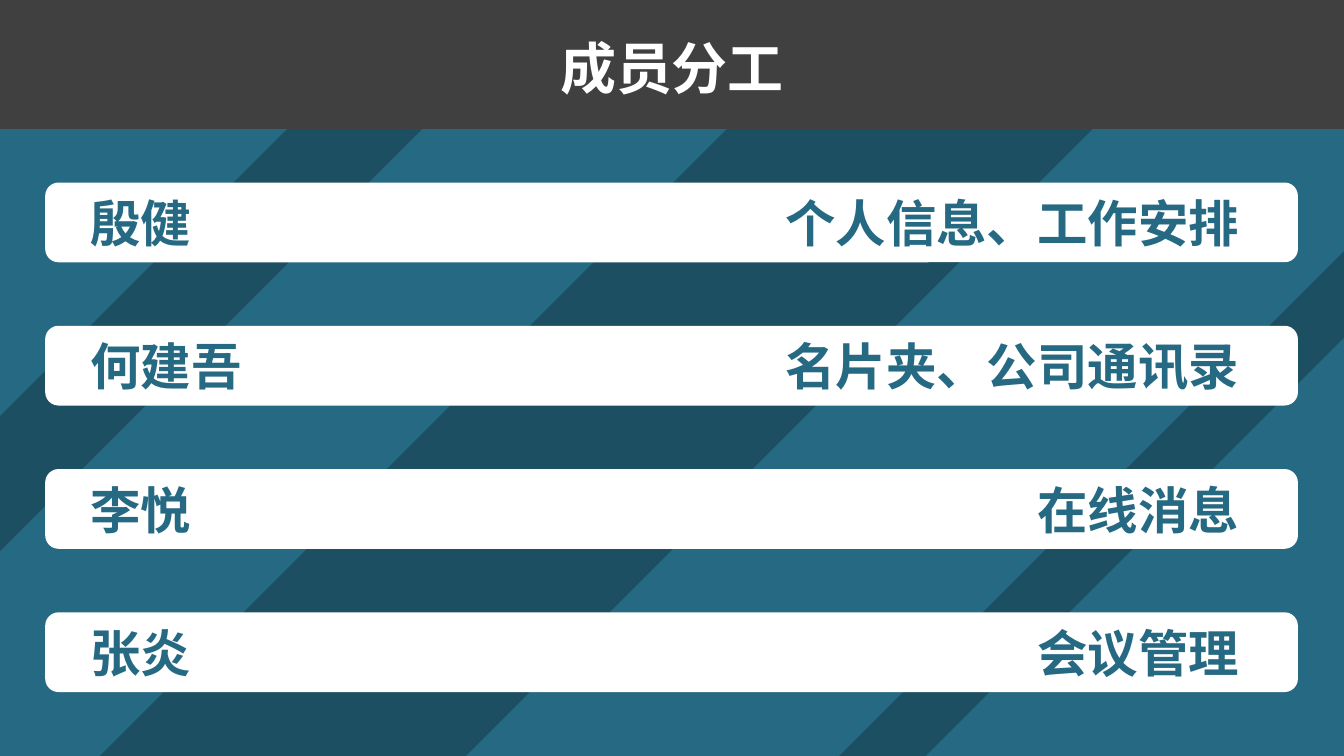
from lxml.etree import SubElement
from pptx import Presentation
from pptx.dml.color import RGBColor
from pptx.enum.shapes import MSO_SHAPE as Preset
from pptx.enum.text import MSO_ANCHOR as Anchor, MSO_AUTO_SIZE as AutoSize, PP_ALIGN as Align
from pptx.oxml.ns import qn
from pptx.util import Cm, Pt

COLORS = {"teal": "266983", "stripe": "1D4F62", "band": "404040", "white": "FFFFFF"}
FONT = "Noto Sans CJK SC"
WIDTH, HEIGHT = 33.87, 19.05
BAND_HEIGHT = 3.25
STRIPES = [
    [(10.49, 0), (13.89, 0), (0, 13.89), (0, 10.49)],
    [(21.57, 0), (30.79, 0), (11.74, HEIGHT), (2.52, HEIGHT)],
    [(WIDTH, 6.33), (WIDTH, 8.51), (23.33, HEIGHT), (21.15, HEIGHT)],
]
MEMBERS = [
    ("殷健", 8.61, "个人信息、工作安排", 14.91),
    ("何建吾", 4.6, "名片夹、公司通讯录", 20.8),
    ("李悦", 4.6, "在线消息", 14.91),
    ("张炎", 4.6, "会议管理", 14.91),
]
ROW_LEFT, ROW_TOP, ROW_WIDTH, ROW_HEIGHT, ROW_PITCH = 1.14, 4.6, 31.57, 2.01, 3.61
TEXT_HEIGHT, NAME_INDENT, DUTY_INDENT = 1.8, 0.89, 1.24


def paint(shape, color):
    """Give a shape a plain fill without line or shadow."""
    shape.shadow.inherit = False
    shape.fill.solid()
    shape.fill.fore_color.rgb = RGBColor.from_string(COLORS[color])
    shape.line.fill.background()


def add_block(slide, preset, left, top, width, height, color):
    """Add a painted preset shape."""
    shape = slide.shapes.add_shape(preset, Cm(left), Cm(top), Cm(width), Cm(height))
    paint(shape, color)


def write_text(shape, text, size, color, align):
    """Fill a shape with one bold line, centred vertically."""
    frame = shape.text_frame
    frame.word_wrap = True
    frame.auto_size = AutoSize.NONE
    frame.vertical_anchor = Anchor.MIDDLE
    frame.margin_top = frame.margin_bottom = 0
    paragraph = frame.paragraphs[0]
    paragraph.text = text
    paragraph.alignment = align
    font = paragraph.font
    font.name, font.size, font.bold = FONT, Pt(size), True
    font.color.rgb = RGBColor.from_string(COLORS[color])
    for properties in shape.element.iter(qn("a:defRPr")):
        SubElement(properties, qn("a:ea")).set("typeface", FONT)


def add_label(slide, left, top, width, text, align):
    """Add a text box for one label of a member row."""
    box = slide.shapes.add_textbox(Cm(left), Cm(top), Cm(width), Cm(TEXT_HEIGHT))
    write_text(box, text, 36, "teal", align)


def add_backdrop(slide):
    """Draw the teal ground with its diagonal stripes."""
    add_block(slide, Preset.RECTANGLE, 0, 0, WIDTH, HEIGHT, "teal")
    for stripe in STRIPES:
        start, *others = [(Cm(x), Cm(y)) for x, y in stripe]
        builder = slide.shapes.build_freeform(*start)
        builder.add_line_segments(others, close=True)
        paint(builder.convert_to_shape(), "stripe")


def add_header(slide, left, top, width, height):
    """Draw the dark band and place the title on it."""
    add_block(slide, Preset.RECTANGLE, left, top, width, height, "band")
    title = slide.shapes.title
    title_width, title_height = 20.57, 1.96
    title.left, title.top = Cm(left + (width - title_width) / 2), Cm(top + 0.7)
    title.width, title.height = Cm(title_width), Cm(title_height)
    write_text(title, "成员分工", 40, "white", Align.CENTER)
    title.element.getparent().append(title.element)


def add_member_row(slide, left, top, width, height, member):
    """Draw a rounded bar with a name at left and a duty at right."""
    name, name_width, duty, duty_width = member
    add_block(slide, Preset.ROUNDED_RECTANGLE, left, top, width, height, "white")
    text_top = top + (height - TEXT_HEIGHT) / 2
    add_label(slide, left + NAME_INDENT, text_top, name_width, name, Align.LEFT)
    duty_left = left + width - DUTY_INDENT - duty_width
    add_label(slide, duty_left, text_top, duty_width, duty, Align.RIGHT)


def main():
    """Build the slide and save it."""
    presentation = Presentation()
    presentation.slide_width, presentation.slide_height = Cm(WIDTH), Cm(HEIGHT)
    slide = presentation.slides.add_slide(presentation.slide_layouts.get_by_name("Title Only"))
    add_backdrop(slide)
    add_header(slide, 0, 0, WIDTH, BAND_HEIGHT)
    for index, member in enumerate(MEMBERS):
        row_top = ROW_TOP + index * ROW_PITCH
        add_member_row(slide, ROW_LEFT, row_top, ROW_WIDTH, ROW_HEIGHT, member)
    presentation.save("out.pptx")


if __name__ == "__main__":
    main()
